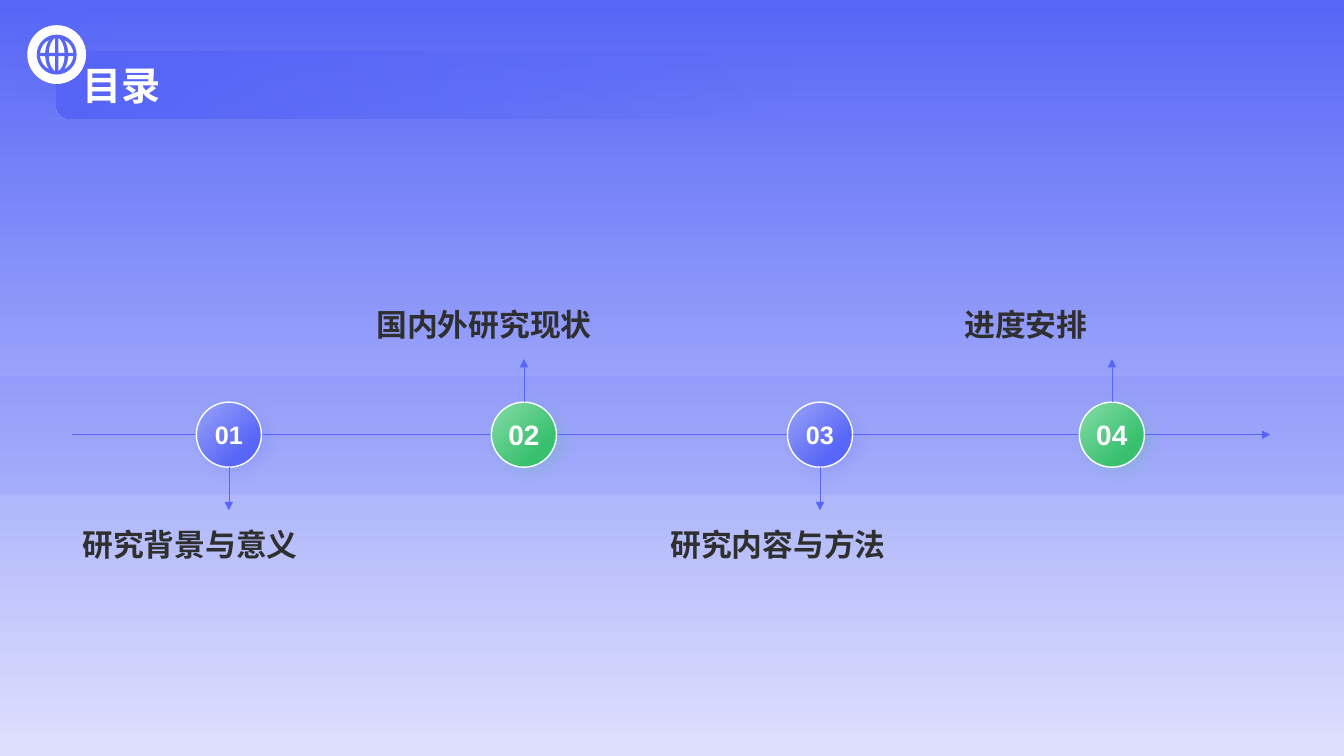
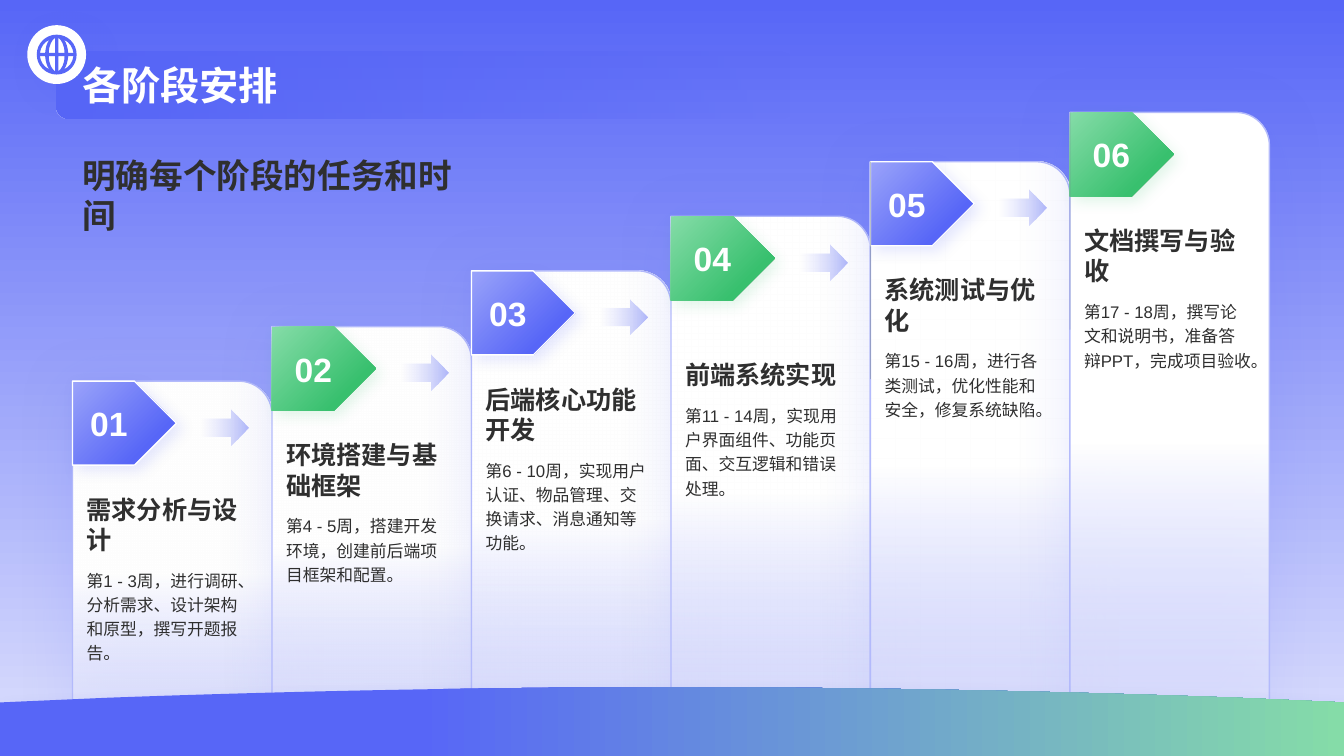
from lxml import etree
from pptx import Presentation
from pptx.dml.color import RGBColor
from pptx.enum.shapes import MSO_CONNECTOR, MSO_SHAPE
from pptx.enum.text import MSO_ANCHOR, PP_ALIGN
from pptx.oxml.ns import qn
from pptx.util import Emu, Pt

PX = 9525  # EMU per px; a slide is 1280 x 720 px
W, H = 1280, 720
FONT = "Arial"
TOP, MIDDLE, BOTTOM = MSO_ANCHOR.TOP, MSO_ANCHOR.MIDDLE, MSO_ANCHOR.BOTTOM
LEFT, CENTER = PP_ALIGN.LEFT, PP_ALIGN.CENTER
RECT, ROUND_RECT, CARD = MSO_SHAPE.RECTANGLE, MSO_SHAPE.ROUNDED_RECTANGLE, MSO_SHAPE.ROUND_1_RECTANGLE
OVAL, PENTAGON, ARROW = MSO_SHAPE.OVAL, MSO_SHAPE.PENTAGON, MSO_SHAPE.RIGHT_ARROW
STRAIGHT = MSO_CONNECTOR.STRAIGHT

C = {
    "blue": "5766F7", "blue_mid": "9AA3FA", "blue_soft": "B3BAFB", "blue_pale": "CDD1FD",
    "mist": "DDE0FD", "green": "38C06E", "green_soft": "85DCA8",
    "white": "FFFFFF", "ink": "2F2F2F", "slate": "778495",
}

# Gradients: angle, then (position, colour, opacity) for both ends
GRADS = {
    "page": (90, (0, "blue", 100), (100, "mist", 100)),
    "bar": (0, (0, "blue", 100), (100, "blue", 0)),
    "blue": (45, (0, "blue_mid", 100), (75, "blue", 100)),
    "green": (45, (0, "green_soft", 100), (75, "green", 100)),
    "card": (90, (51, "white", 100), (100, "mist", 40)),
    "arrow": (180, (0, "blue_soft", 100), (100, "blue_pale", 0)),
    "wave": (0, (31, "blue", 100), (100, "green_soft", 100)),
}

# Shadows: colour, opacity %, blur pt, distance pt, angle
SHADOWS = {
    "icon": ("blue", 30, 20, 10, 45),
    "blue": ("blue", 15, 10, 5, 45),
    "green": ("green", 15, 10, 5, 45),
    "card": ("blue", 15, 42, 4, 90),
}

# Circle left, number size and heading of each chapter
CHAPTERS = [
    (187, 18, "研究背景与意义"),
    (468, 20, "国内外研究现状"),
    (750, 18, "研究内容与方法"),
    (1028, 20, "进度安排"),
]

# Card top, heading and text of each stage
STAGES = [
    (363, "需求分析与设计", "第1 - 3周，进行调研、分析需求、设计架构和原型，撰写开题报告。"),
    (311, "环境搭建与基础框架", "第4 - 5周，搭建开发环境，创建前后端项目框架和配置。"),
    (258, "后端核心功能开发", "第6 - 10周，实现用户认证、物品管理、交换请求、消息通知等功能。"),
    (206, "前端系统实现", "第11 - 14周，实现用户界面组件、功能页面、交互逻辑和错误处理。"),
    (154, "系统测试与优化", "第15 - 16周，进行各类测试，优化性能和安全，修复系统缺陷。"),
    (107, "文档撰写与验收", "第17 - 18周，撰写论文和说明书，准备答辩PPT，完成项目验收。"),
]


def px(*values):
    return [Emu(v * PX) for v in values]


def rgb(name):
    return RGBColor.from_string(C[name])


def set_alpha(parent, alpha):
    """Give every colour below parent an opacity in percent."""
    if alpha < 100:
        for clr in parent.iter(qn("a:srgbClr")):
            etree.SubElement(clr, qn("a:alpha"), val=str(alpha * 1000))


def set_gradient(fill, name):
    """Set a two-stop gradient and return the opacities of its stops."""
    angle, *ends = GRADS[name]
    fill.gradient()
    fill.gradient_angle = (360 - angle) % 360
    for stop, (pos, color, _) in zip(fill.gradient_stops, ends):
        stop.position = pos / 100
        stop.color.rgb = rgb(color)
    return [end[2] for end in ends]


def style(sp, color=None, grad=None, alpha=100, line=None, shadow=None):
    """Set fill, outline and shadow of a shape."""
    sp.shadow.inherit = False
    if grad:
        alphas = set_gradient(sp.fill, grad)
        for gs, opacity in zip(sp._element.spPr.iter(qn("a:gs")), alphas):
            set_alpha(gs, opacity)
    else:
        sp.fill.solid()
        sp.fill.fore_color.rgb = rgb(color)
        set_alpha(sp._element.spPr, alpha)
    if line:
        sp.line.color.rgb = rgb(line)
        sp.line.width = Pt(1)
    else:
        sp.line.fill.background()
    if shadow:
        tint, opacity, blur, dist, angle = SHADOWS[shadow]
        effects = sp._element.spPr.find(qn("a:effectLst"))
        outer = etree.SubElement(
            effects, qn("a:outerShdw"), blurRad=str(Pt(blur)), dist=str(Pt(dist)),
            dir=str(angle * 60000), algn="tl", rotWithShape="0")
        etree.SubElement(outer, qn("a:srgbClr"), val=C[tint])
        set_alpha(outer, opacity)
    return sp


def add_shape(s, kind, box, **look):
    return style(s.shapes.add_shape(kind, *px(*box)), **look)


def add_line(s, start, end, color, alpha=100, arrow=False):
    cn = s.shapes.add_connector(STRAIGHT, *px(*start, *end))
    cn.line.color.rgb = rgb(color)
    cn.line.width = Pt(0.5)
    spPr = cn._element.spPr
    set_alpha(spPr, alpha)
    if arrow:
        etree.SubElement(spPr.find(qn("a:ln")), qn("a:tailEnd"), type="triangle")
    etree.SubElement(spPr, qn("a:effectLst"))


def add_outline(s, contours, origin=(0, 0)):
    """Closed contours in tenths of a px: a start, then lines (1 point) or curves (3 points)."""
    fb = s.shapes.build_freeform(*contours[0][0], scale=PX / 10)
    for i, (start, *segments) in enumerate(contours):
        if i:
            fb.move_to(*start)
        fb.add_line_segments([pt for seg in segments for pt in seg])
    sp = fb.convert_to_shape(*px(*origin))
    lines = iter(list(sp._element.iter(qn("a:lnTo"))))
    for seg in (seg for contour in contours for seg in contour[1:]):
        nodes = [next(lines) for _ in seg]
        if len(nodes) == 3:
            curve = etree.Element(qn("a:cubicBezTo"))
            nodes[0].addprevious(curve)
            for node in nodes:
                curve.append(node[0])
                node.getparent().remove(node)
    return sp


def write(sp, text, size, color="ink", bold=True, align=LEFT, spacing=None, **frame):
    """Write one paragraph; frame holds text frame attributes."""
    tf = sp.text_frame
    for name, value in {"word_wrap": True, "vertical_anchor": TOP, **frame}.items():
        setattr(tf, name, value)
    p = tf.paragraphs[0]
    for name, value in {"alignment": align, "line_spacing": spacing}.items():
        setattr(p, name, value)
    r = p.add_run()
    r.text = text
    for name, value in {"size": Pt(size), "bold": bold, "name": FONT}.items():
        setattr(r.font, name, value)
    r.font.color.rgb = rgb(color)
    etree.SubElement(r._r.rPr, qn("a:ea"), typeface=FONT)


def add_text(s, box, text, size, **look):
    write(s.shapes.add_textbox(*px(*box)), text, size, **look)


def globe(s, cx, cy):
    """Globe icon: a disc with two windows in each quadrant."""
    disc = [(0, -190),
            [(-105, -190), (-190, -105), (-190, 0)], [(-190, 105), (-105, 190), (0, 190)],
            [(105, 190), (190, 105), (190, 0)], [(190, -105), (105, -190), (0, -190)]]
    inner = [(15, -160), [(15, -15)], [(75, -15)], [(75, -90), (45, -140), (15, -160)]]
    outer = [(160, -15), [(110, -15)], [(105, -65), (95, -110), (70, -140)],
             [(120, -120), (152, -72), (160, -15)]]
    windows = [[(x0 * sx, y0 * sy)] + [[(x * sx, y * sy) for x, y in seg] for seg in segments]
               for sx in (1, -1) for sy in (1, -1) for (x0, y0), *segments in (inner, outer)]
    style(add_outline(s, [disc, *windows], (cx, cy)), color="blue")


def new_slide(prs, title):
    """Background, title bar, globe badge and title."""
    s = prs.slides.add_slide(prs.slide_layouts[6])
    set_gradient(s.background.fill, "page")
    add_shape(s, ROUND_RECT, (54, 49, 702, 64), grad="bar")
    add_shape(s, OVAL, (26, 24, 56, 56), color="white", shadow="icon")
    globe(s, 54, 52)
    add_text(s, (69, 13, 1140, 95), title, 28, color="white", vertical_anchor=BOTTOM)
    return s


def chapter(s, i, band_top, circle_left, size, heading):
    """Numbered circle on the band, arrow and heading below or above in turn."""
    above = i % 2
    hue = "green" if above else "blue"
    top, side = band_top + 25, 62
    sp = add_shape(s, OVAL, (circle_left, top, side, side), grad=hue, line="white", shadow=hue)
    write(sp, f"{i + 1:02}", size, color="white", align=CENTER,
          vertical_anchor=MIDDLE, word_wrap=False)
    y = band_top - 102 if above else band_top + 138
    add_text(s, (69 + 280 * i, y, 300, 75), heading, 22, vertical_anchor=BOTTOM if above else TOP)
    x = circle_left + side // 2
    start, end = (top, top - 41) if above else (top + side, top + side + 41)
    add_line(s, (x, start), (x, end), "blue", arrow=True)


def stage(s, i, x, y, heading, text):
    """Card with number tag, heading, text and an arrow to the next card."""
    even = i % 2
    hue = "green" if even else "blue"
    add_shape(s, CARD, (x, y, 190, H - y), grad="card", line="blue_soft", shadow="card")
    sp = add_shape(s, PENTAGON, (x, y, 99, 80), grad=hue, shadow=hue,
                   line=None if even else "white")
    margin = {} if even else {"margin_right": Emu(19 * PX)}
    write(sp, f"{i + 1:02}", 24, color="white", align=CENTER, vertical_anchor=MIDDLE, **margin)
    add_text(s, (x + 4, y + 90, 178, 80), heading, 18, vertical_anchor=BOTTOM)
    add_text(s, (x + 4, y + 172, 178, 489 - y), text, 12, bold=False, spacing=1.2)
    if i >= 4:
        add_line(s, (x, y), (x, y + 207), "slate", alpha=50)
    if i < len(STAGES) - 1:
        add_shape(s, ARROW, (x + 123, y + 27, 45, 34), grad="arrow")


def wave(s, crest, edge):
    """Footer hill across the slide, in tenths of a px."""
    outline = [(6400, crest),
               [(8300, crest), (10120, crest + 40), (11770, crest + 100)],
               [(12800, edge)], [(12800, 7200)], [(0, 7200)], [(0, edge)],
               [(1030, crest + 100)],
               [(2680, crest + 40), (4500, crest), (6400, crest)]]
    style(add_outline(s, [outline]), grad="wave", shadow="blue")


def contents_slide(prs):
    s = new_slide(prs, "目录")
    band_top = 358
    add_shape(s, RECT, (0, band_top, W, 113), color="blue", alpha=10)
    add_line(s, (69, band_top + 56), (1210, band_top + 56), "blue", arrow=True)
    for i, item in enumerate(CHAPTERS):
        chapter(s, i, band_top, *item)


def stages_slide(prs):
    s = new_slide(prs, "各阶段安排")
    add_text(s, (69, 119, 397, 133), "明确每个阶段的任务和时间", 24, vertical_anchor=MIDDLE)
    for i, (y, heading, text) in enumerate(STAGES):
        stage(s, i, 69 + 190 * i, y, heading, text)
    wave(s, 6545, 6690)


def main():
    prs = Presentation()
    prs.slide_width, prs.slide_height = px(W, H)
    contents_slide(prs)
    stages_slide(prs)
    prs.save("out.pptx")


if __name__ == "__main__":
    main()
